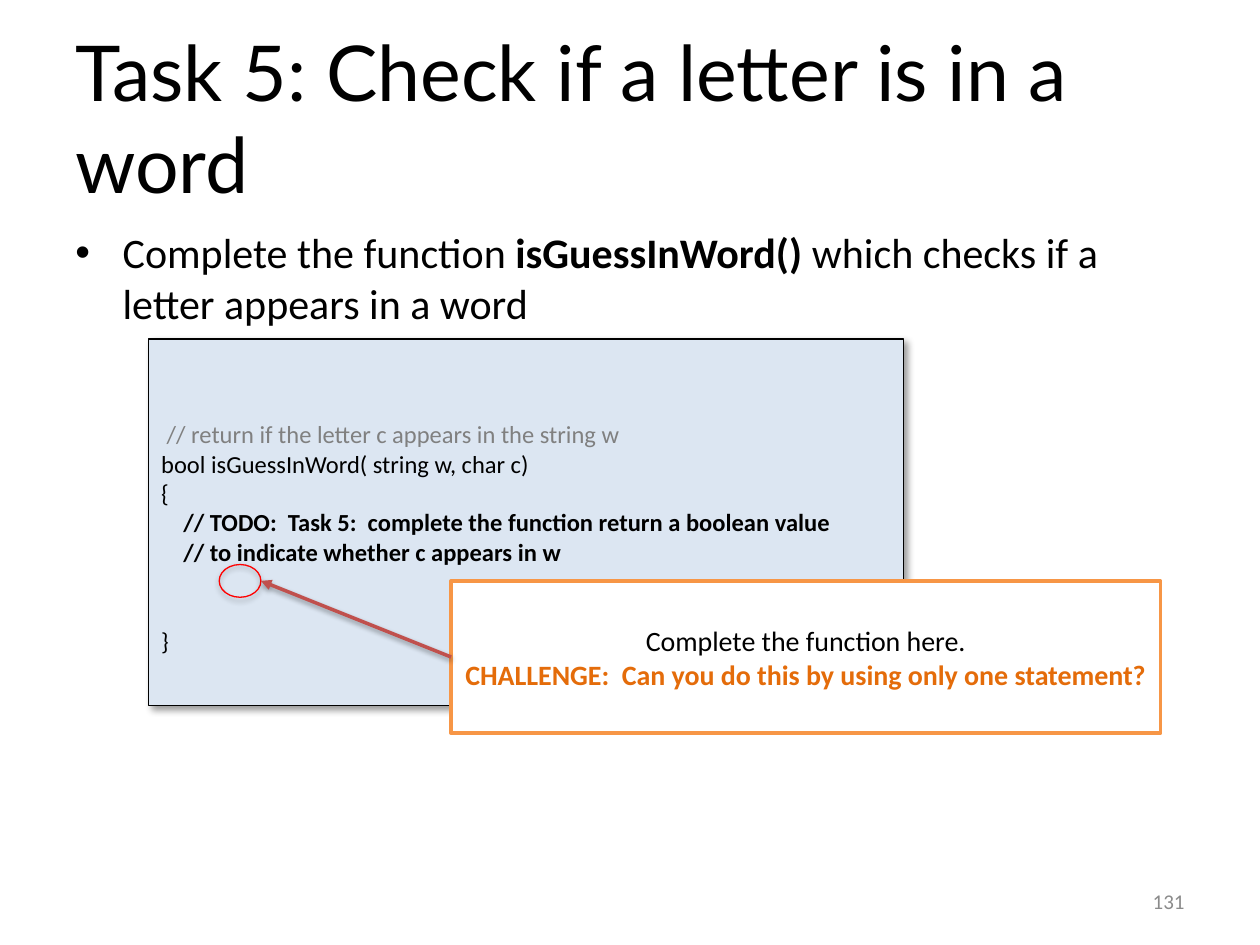
from lxml import etree
from pptx import Presentation
from pptx.dml.color import RGBColor
from pptx.enum import shapes, text
from pptx.oxml import ns
from pptx.util import Pt

BLACK = RGBColor(0, 0, 0)
WHITE = RGBColor(255, 255, 255)
GRAY = RGBColor(0x80, 0x80, 0x80)
PAGE_GRAY = RGBColor(0x8B, 0x8B, 0x8B)
PALE_BLUE = RGBColor(0xDC, 0xE6, 0xF2)
RED = RGBColor(255, 0, 0)
BRICK = RGBColor(0xC0, 0x50, 0x4D)
ORANGE = RGBColor(0xF7, 0x96, 0x46)
DARK_ORANGE = RGBColor(0xE4, 0x6C, 0x0A)

TITLE = [[("Task 5: Check if a letter is in a word", BLACK, False)]]
TASK = [[
    ("Complete the function ", BLACK, False),
    ("isGuessInWord() ", BLACK, True),
    ("which checks if a letter appears in a word", BLACK, False),
]]
PAGE_NUMBER = [[("131", PAGE_GRAY, False)]]
CODE = [
    [(" // return if the letter c appears in the string w", GRAY, False)],
    [("bool isGuessInWord( string w, char c)", BLACK, False)],
    [("{", BLACK, False)],
    [("    // TODO:  Task 5:  complete the function return a boolean value", BLACK, True)],
    [("    // to indicate whether c appears in w", BLACK, True)],
    [("}", BLACK, False)],
]
CALLOUT = [
    [("Complete the function here.", BLACK, False)],
    [("CHALLENGE:  Can you do this by using only one statement?", DARK_ORANGE, True)],
]

CODE_LINE = 17.1
CODE_AREA = (85, 193.7, 431.3, 209.5)
TARGET_AREA = (125.3, 322.6, 23.8, 18.7)
CALLOUT_AREA = (257.8, 331.9, 405.4, 87.1)


def write(box, lines, size, font="Calibri", anchor=text.MSO_ANCHOR.MIDDLE,
          align=text.PP_ALIGN.LEFT):
    frame = box.text_frame
    frame.word_wrap = True
    frame.vertical_anchor = anchor
    for index, spans in enumerate(lines):
        para = frame.paragraphs[0] if index == 0 else frame.add_paragraph()
        para.alignment = align
        for words, color, bold in spans:
            span = para.add_run()
            span.text = words
            span.font.name = font
            span.font.size = Pt(size)
            span.font.bold = bold
            span.font.color.rgb = color
    return frame


def add_text(page, area, lines, size, **style):
    box = page.shapes.add_textbox(*map(Pt, area))
    return write(box, lines, size, **style)


def add_panel(page, kind, area, fill, line, width):
    panel = page.shapes.add_shape(kind, *map(Pt, area))
    panel.shadow.inherit = False
    if fill is None:
        panel.fill.background()
    else:
        panel.fill.solid()
        panel.fill.fore_color.rgb = fill
    panel.line.color.rgb = line
    panel.line.width = Pt(width)
    return panel


def add_child(parent, tag, **attributes):
    child = etree.SubElement(parent, ns.qn(tag))
    for name, value in attributes.items():
        child.set(name, str(value))
    return child


def cast_shadow(shape, alpha, blur, distance, angle):
    properties = shape._element.spPr
    effects = properties.find(ns.qn("a:effectLst"))
    if effects is None:
        effects = add_child(properties, "a:effectLst")
    shadow = add_child(effects, "a:outerShdw", blurRad=Pt(blur), dist=Pt(distance),
                       dir=angle * 60000, algn="tl", rotWithShape=0)
    color = add_child(shadow, "a:srgbClr", val=BLACK)
    add_child(color, "a:alpha", val=alpha * 1000)


def add_bullet(para, indent):
    properties = para._p.get_or_add_pPr()
    properties.set("marL", str(Pt(indent)))
    properties.set("indent", str(-Pt(indent)))
    add_child(properties, "a:buFont", typeface="Arial")
    add_child(properties, "a:buChar", char="•")


def add_arrow(page, tip, tail):
    arrow = page.shapes.add_connector(shapes.MSO_CONNECTOR.STRAIGHT, *map(Pt, tip + tail))
    arrow.line.color.rgb = BRICK
    arrow.line.width = Pt(2)
    add_child(arrow.line._get_or_add_ln(), "a:headEnd", type="triangle")
    cast_shadow(arrow, 38, 3.1, 1.6, 90)


def main():
    deck = Presentation()
    deck.slide_width, deck.slide_height = Pt(720), Pt(540)
    page = deck.slides.add_slide(deck.slide_layouts[6])

    add_text(page, (36, 21.6, 648, 90), TITLE, 44, font="Lato")
    task = add_text(page, (36, 126, 648, 356.4), TASK, 24, anchor=text.MSO_ANCHOR.TOP)
    add_bullet(task.paragraphs[0], 27)
    add_text(page, (516, 500.5, 168, 28.8), PAGE_NUMBER, 12, align=text.PP_ALIGN.RIGHT)

    rectangle, oval = shapes.MSO_SHAPE.RECTANGLE, shapes.MSO_SHAPE.OVAL
    code = add_panel(page, rectangle, CODE_AREA, PALE_BLUE, BLACK, 0.75)
    cast_shadow(code, 40, 4, 3, 45)
    listing = write(code, CODE, 14)
    listing.margin_top = Pt(3.6 + CODE_LINE)
    listing.paragraphs[-1].space_before = Pt(2 * CODE_LINE)

    target = add_panel(page, oval, TARGET_AREA, None, RED, 0.75)
    cast_shadow(target, 35, 3.1, 1.8, 90)

    callout = add_panel(page, rectangle, CALLOUT_AREA, WHITE, ORANGE, 2)
    write(callout, CALLOUT, 16, align=text.PP_ALIGN.CENTER)

    left, top, width, height = TARGET_AREA
    tip = (left + width, top + height / 2)
    tail = (CALLOUT_AREA[0], CALLOUT_AREA[1] + CALLOUT_AREA[3] / 2)
    add_arrow(page, tip, tail)

    deck.save("out.pptx")


if __name__ == "__main__":
    main()
